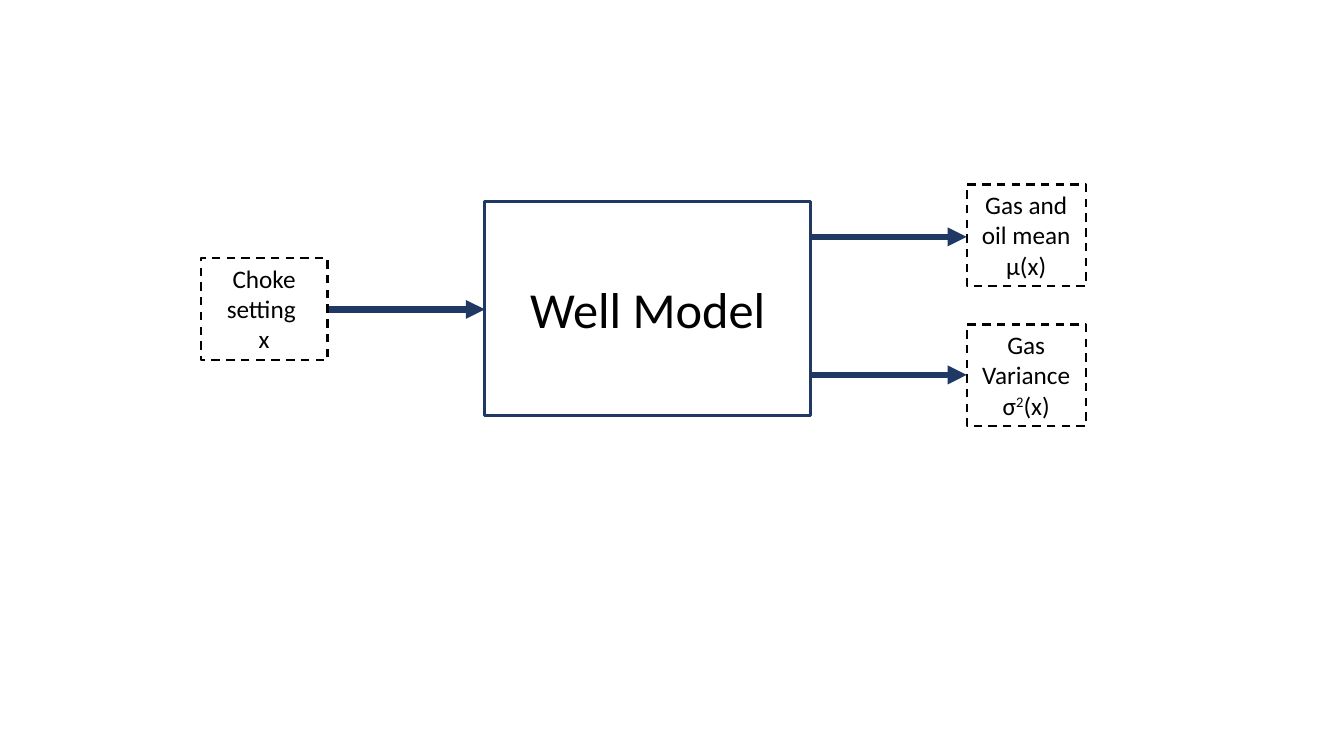
from pptx import Presentation
from pptx import util as u
from pptx.dml.color import RGBColor
from pptx.enum import dml, shapes, text
from pptx.oxml import parse_xml
from pptx.oxml.ns import nsdecls

Pt = u.Pt
COLORS = {"navy": "203864", "black": "000000"}

deck = Presentation()
deck.slide_width, deck.slide_height = Pt(960), Pt(540)
slide = deck.slides.add_slide(deck.slide_layouts[6])


def add_box(paragraphs, left, top, width, height, size=18, line="black",
            weight=1.5, dash=None, anchor=text.MSO_ANCHOR.TOP):
    """Outlined box; each paragraph is a list of (text, baseline) runs."""
    box = slide.shapes.add_shape(shapes.MSO_SHAPE.RECTANGLE,
                                 Pt(left), Pt(top), Pt(width), Pt(height))
    box.shadow.inherit = False
    box.fill.background()
    box.line.color.rgb = RGBColor.from_string(COLORS[line])
    box.line.width = Pt(weight)
    if dash:
        box.line.dash_style = dash
    frame = box.text_frame
    frame.word_wrap = True
    frame.vertical_anchor = anchor
    for i, runs in enumerate(paragraphs):
        paragraph = frame.paragraphs[0] if i == 0 else frame.add_paragraph()
        paragraph.alignment = text.PP_ALIGN.CENTER
        for words, baseline in runs:
            run = paragraph.add_run()
            run.text = words
            run.font.name = "Calibri"
            run.font.size = Pt(size)
            run.font.color.rgb = RGBColor.from_string(COLORS["black"])
            if baseline:
                run.font._element.set("baseline", str(baseline * 1000))


def add_arrow(start, end, y):
    arrow = slide.shapes.add_connector(shapes.MSO_CONNECTOR.STRAIGHT,
                                       Pt(start), Pt(y), Pt(end), Pt(y))
    arrow.line.color.rgb = RGBColor.from_string(COLORS["navy"])
    arrow.line.width = Pt(4.5)
    arrow.line._get_or_add_ln().append(
        parse_xml(f'<a:tailEnd {nsdecls("a")} type="triangle"/>'))
    arrow._element.spPr.append(parse_xml(f'<a:effectLst {nsdecls("a")}/>'))


# Column edges, left to right
choke_left, choke_right = 143.3, 234
model_left, model_right = 346.3, 579
output_left, output_width = 690.5, 85
signal_height = 72.7

# Well model
add_box([[("Well Model", 0)]], model_left, 144, model_right - model_left, 152.6,
        size=36, line="navy", weight=2.25, anchor=text.MSO_ANCHOR.MIDDLE)

# Arrows into and out of the model
add_arrow(choke_right, model_left, 221)
for output_y in (267.8, 169.2):
    add_arrow(model_right, output_left, output_y)

# Input and output signals
choke = [[("Choke setting ", 0)], [("x", 0)]]
mean = [[("Gas and oil mean", 0)], [("μ(x)", 0)]]
variance = [[("Gas Variance", 0)], [("σ", 0), ("2", 30), ("(x)", 0)]]
for signal, left, top, width in (
        (choke, choke_left, 184.3, choke_right - choke_left),
        (mean, output_left, 131.8, output_width),
        (variance, output_left, 231.8, output_width)):
    add_box(signal, left, top, width, signal_height,
            dash=dml.MSO_LINE.DASH)

deck.save("out.pptx")
